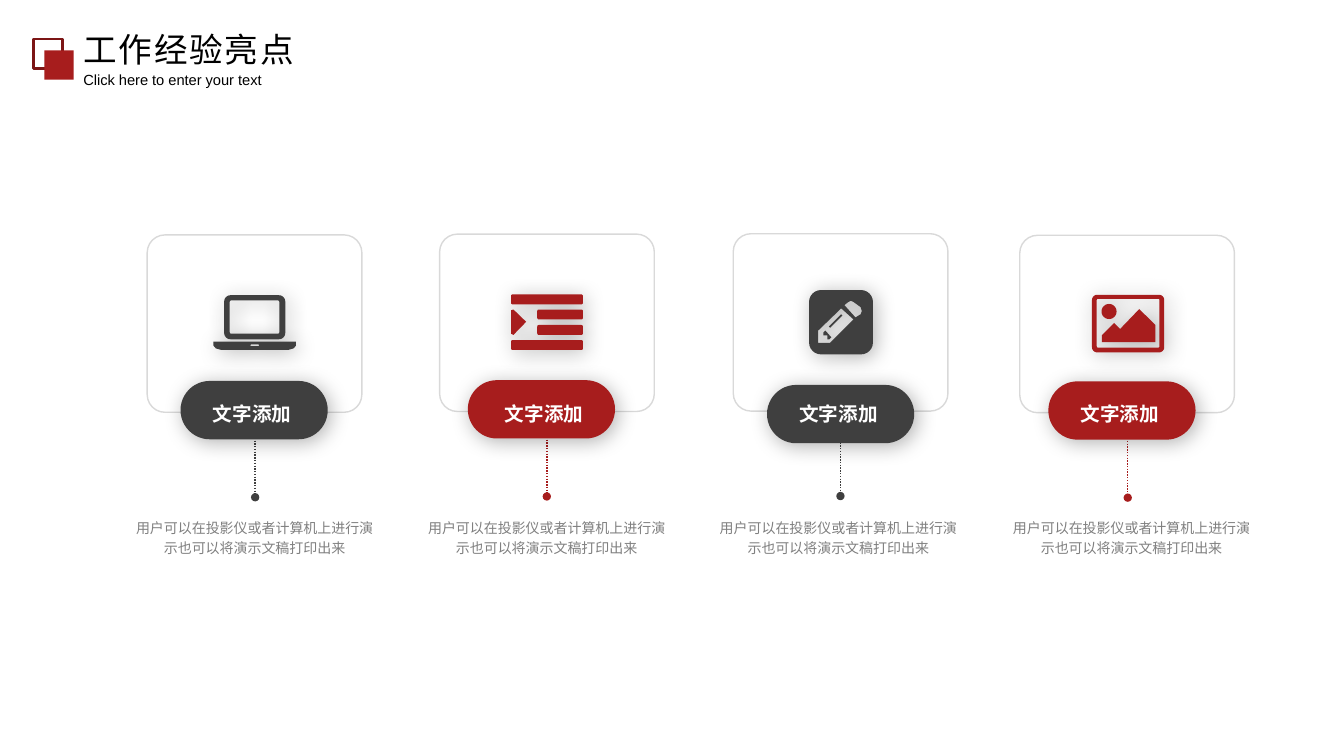
from math import cos, pi, sin

from lxml import etree
from pptx import Presentation
from pptx.dml.color import RGBColor
from pptx.enum.dml import MSO_LINE
from pptx.enum.shapes import MSO_CONNECTOR, MSO_SHAPE
from pptx.enum.text import MSO_AUTO_SIZE, PP_ALIGN
from pptx.oxml import parse_xml
from pptx.oxml.ns import nsdecls, qn
from pptx.util import Cm, Pt

RECT = MSO_SHAPE.RECTANGLE
ROUND = MSO_SHAPE.ROUNDED_RECTANGLE
STRAIGHT = MSO_CONNECTOR.STRAIGHT
DOTS = MSO_LINE.ROUND_DOT
FIT = MSO_AUTO_SIZE.SHAPE_TO_FIT_TEXT
LEFT, CENTER, JUST = PP_ALIGN.LEFT, PP_ALIGN.CENTER, PP_ALIGN.JUSTIFY

HEX = {
    "red": "A71D1D", "wine": "7C1515", "dark": "3F3F3F", "rim": "D9D9D9",
    "gray": "808080", "black": "000000", "white": "FFFFFF",
}
RGB = {name: RGBColor.from_string(code) for name, code in HEX.items()}
SHADOW = (
    f'<a:outerShdw {nsdecls("a")} blurRad="{Pt(15)}" dist="{Pt(3)}" '
    f'dir="2700000" algn="tl" rotWithShape="0"><a:srgbClr val="{HEX["black"]}">'
    '<a:alpha val="30000"/></a:srgbClr></a:outerShdw>'
)

prs = Presentation()
prs.slide_width, prs.slide_height = Cm(33.87), Cm(19.05)
slide = prs.slides.add_slide(prs.slide_layouts[6])
shapes = slide.shapes


def put_text(words, left, top, wide, high, size, color, align, gap=None):
    box = shapes.add_textbox(Cm(left), Cm(top), Cm(wide), Cm(high))
    frame = box.text_frame
    frame.word_wrap = True
    frame.auto_size = FIT
    para = frame.paragraphs[0]
    para.alignment = align
    para.line_spacing = gap
    run = para.add_run()
    run.text = words
    run.font.name = "Arial"
    run.font.size = Pt(size)
    run.font.color.rgb = RGB[color]
    return run


def bar(left, top, right, low, curve):
    """Points of a box with round corners, in cm."""
    mids = [(right - curve, low - curve), (left + curve, low - curve),
            (left + curve, top + curve), (right - curve, top + curve)]
    return [(x + curve * cos(turn), y + curve * sin(turn))
            for side, (x, y) in enumerate(mids)
            for turn in [(side + step / 6) * pi / 2 for step in range(7)]]


# Icon outlines, in cm from the icon's top left corner
laptop = [
    [(0, 1.17), (2.08, 1.17), (2.08, 1.27), (2.02, 1.34), (1.88, 1.38),
     (0.2, 1.38), (0.06, 1.34), (0, 1.27)],
    bar(0.27, 0, 1.81, 1.11, 0.16),
    bar(0.41, 0.13, 1.66, 0.97, 0.04),
    bar(0.93, 1.24, 1.15, 1.28, 0.02),
]
indent = [
    [(0, 0.4), (0.06, 0.38), (0.38, 0.69), (0.06, 1.02), (0, 0.99)],
    *[bar(left, top, 1.81, top + 0.25, 0.04)
      for left, top in [(0, 0), (0.66, 0.38), (0.66, 0.77), (0, 1.15)]],
]
pencil = [
    bar(0, 0, 1.61, 1.62, 0.3),
    [(1.12, 0.74), (0.81, 0.46), (0.23, 1.02), (0.23, 1.33), (0.53, 1.33)],
    [(0.56, 1.19), (0.51, 1.24), (0.46, 1.24), (0.46, 1.14), (0.36, 1.14),
     (0.36, 1.07), (0.41, 1.02)],
    [(0.84, 0.64), (0.53, 0.95), (0.5, 0.92), (0.81, 0.61)],
    [(1.3, 0.61), (1.33, 0.53), (1.3, 0.43), (1.12, 0.3), (1.05, 0.27),
     (0.99, 0.3), (0.89, 0.38), (1.17, 0.69)],
]
photo = [
    bar(0, 0, 1.82, 1.45, 0.13),
    bar(0.12, 0.1, 1.7, 1.33, 0.03),
    bar(0.24, 0.23, 0.62, 0.61, 0.19),
    [(1.6, 1.19), (0.25, 1.19), (0.25, 1.02), (0.56, 0.71), (0.71, 0.86),
     (1.19, 0.36), (1.6, 0.76)],
]

# Header
title = put_text("工作经验亮点", 1.85, 0.61, 6.1, 1.27, 24, "black", LEFT)
title.font._element.set("spc", "130")
put_text("Click here to enter your text", 1.85, 1.47, 5.74, 0.84, 10.5,
         "black", JUST, Pt(18))
frame = shapes.add_shape(RECT, Cm(0.84), Cm(0.99), Cm(0.74), Cm(0.74))
frame.shadow.inherit = False
frame.fill.background()
frame.line.color.rgb = RGB["wine"]
frame.line.width = Pt(1.75)
block = shapes.add_shape(RECT, Cm(1.12), Cm(1.27), Cm(0.74), Cm(0.74))
block.shadow.inherit = False
block.fill.solid()
block.fill.fore_color.rgb = RGB["red"]
block.line.fill.background()

# Columns: color, outlines, icon spot, card spot, pill spot, stem, label, note
columns = [
    ("dark", laptop, (5.38, 7.44), (3.71, 5.92), (4.55, 9.6),
     (6.43, 11.1, 12.53), 4.5, 3.1),
    ("red", indent, (12.88, 7.42), (11.08, 5.9), (11.79, 9.58),
     (13.78, 11.08, 12.51), 11.86, 10.46),
    ("dark", pencil, (20.39, 7.31), (18.48, 5.89), (19.33, 9.7),
     (21.18, 11.08, 12.5), 19.28, 17.81),
    ("red", photo, (27.52, 7.43), (25.7, 5.93), (26.42, 9.61),
     (28.42, 11.11, 12.54), 26.37, 25.2),
]
for color, lines, spot, card_at, pill_at, (mid, top, low), label, note in columns:
    stem = shapes.add_connector(STRAIGHT, Cm(mid), Cm(top), Cm(mid), Cm(low))
    stem.line.color.rgb = RGB[color]
    stem.line.width = Pt(1)
    stem.line.dash_style = DOTS
    etree.SubElement(stem.line._get_or_add_ln(), qn("a:tailEnd"), type="oval")
    etree.SubElement(stem._element.spPr, qn("a:effectLst"))

    card = shapes.add_shape(ROUND, *map(Cm, card_at), Cm(5.41), Cm(4.47))
    card.adjustments[0] = 0.1
    card.shadow.inherit = False
    card.fill.background()
    card.line.color.rgb = RGB["rim"]
    card.line.width = Pt(1)

    pill = shapes.add_shape(ROUND, *map(Cm, pill_at), Cm(3.71), Cm(1.47))
    pill.adjustments[0] = 0.5

    pen = shapes.build_freeform(scale=Cm(0.001))
    for line in lines:
        spots = [(round(x * 1000), round(y * 1000)) for x, y in line]
        pen.move_to(*spots[0])
        pen.add_line_segments(spots[1:], close=True)
    icon = pen.convert_to_shape(*map(Cm, spot))

    for shape in (pill, icon):
        shape.fill.solid()
        shape.fill.fore_color.rgb = RGB[color]
        shape.line.fill.background()
        shape.shadow.inherit = False
        glow = shape._element.spPr.find(qn("a:effectLst"))
        glow.append(parse_xml(SHADOW))

    put_text("用户可以在投影仪或者计算机上进行演示也可以将演示文稿打印出来",
             note, 12.88, 6.63, 1.27, 10, "gray", CENTER, 1.2)
    name = put_text("文字添加", label, 9.88, 3.71, 0.91, 14, "white", CENTER, 1.2)
    name.font.bold = True

prs.save("out.pptx")
